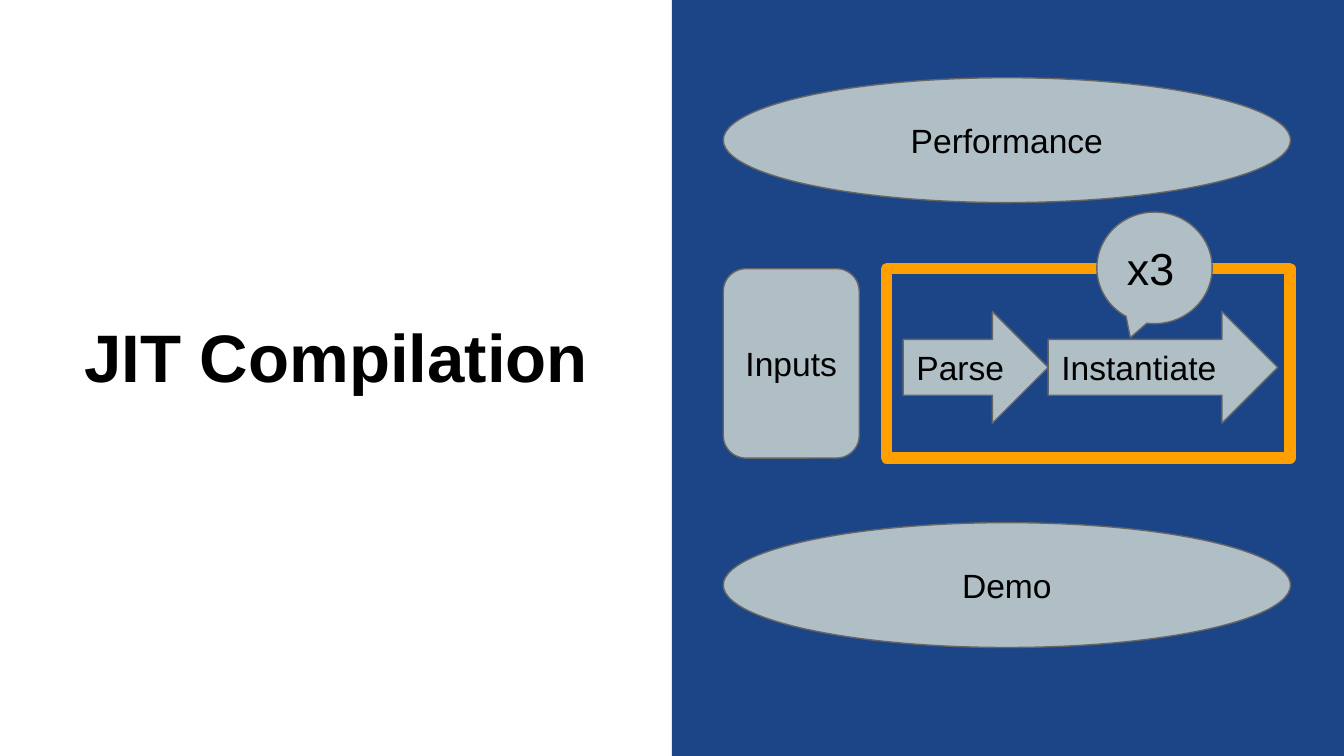
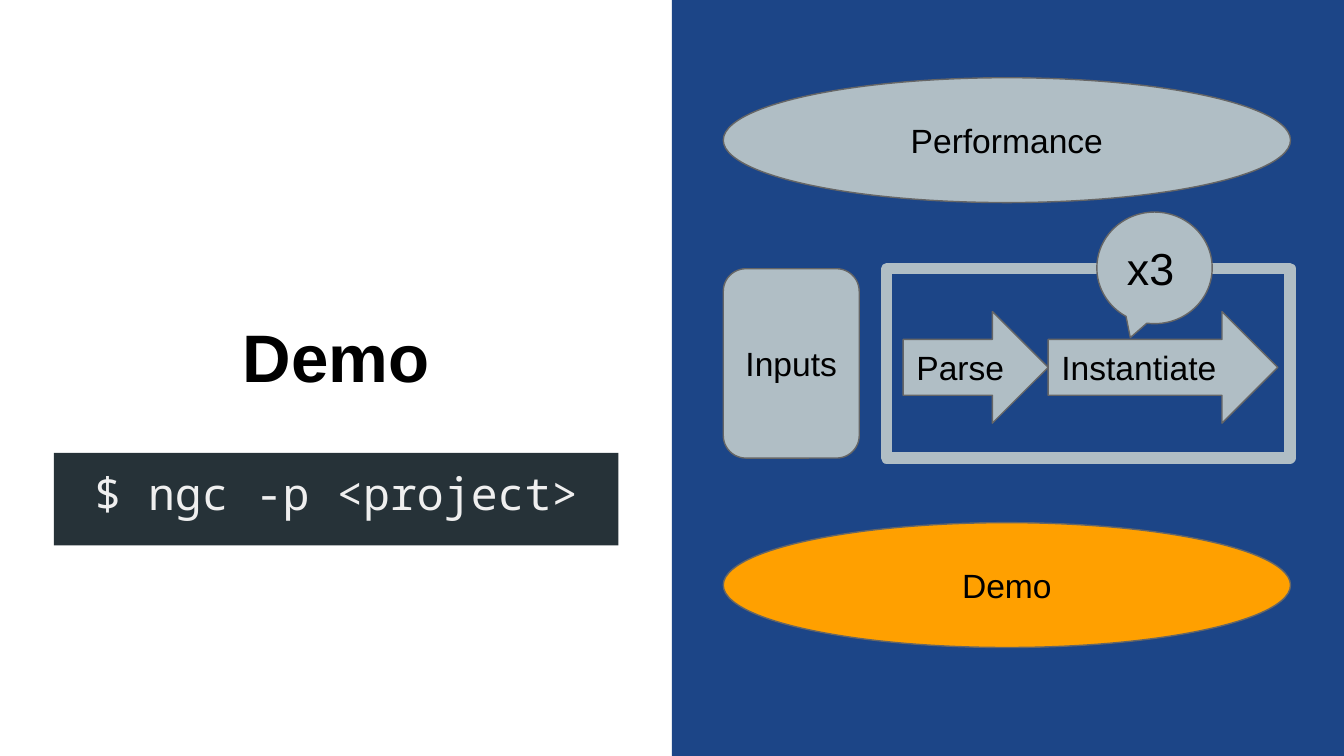
from pptx import Presentation
from pptx import util as u
from pptx.dml import color as c
from pptx.enum import shapes as s, text as t

WHITE = c.RGBColor(0xFF, 0xFF, 0xFF)
BLACK = c.RGBColor(0, 0, 0)
BLUE = c.RGBColor(0x1C, 0x45, 0x87)
GRAY = c.RGBColor(0xB0, 0xBE, 0xC5)
EDGE = c.RGBColor(0x66, 0x66, 0x66)
GOLD = c.RGBColor(0xFF, 0xA0, 0x00)
DARK = c.RGBColor(0x26, 0x32, 0x38)
PALE = c.RGBColor(0xEF, 0xEF, 0xEF)

SANS = "Arial"
MONO = "Noto Sans Mono"
WIDE, HIGH = 25.4, 14.29
HALF = WIDE / 2
LEFT, SPAN, OVAL = 13.67, 10.72, 2.36
ROW, TALL = 5.08, 3.58
STEP, DEEP = 5.89, 2.11

KIND = s.MSO_SHAPE
MID = t.MSO_ANCHOR.MIDDLE
LOW = t.MSO_ANCHOR.BOTTOM
TOP = t.MSO_ANCHOR.TOP
NEAR = t.PP_ALIGN.LEFT
CENTER = t.PP_ALIGN.CENTER


def write(shape, words, size=18, color=BLACK, face=SANS, align=CENTER,
          anchor=MID, bold=False):
    """Put one line of styled text in a shape."""
    frame = shape.text_frame
    frame.word_wrap = True
    frame.vertical_anchor = anchor
    frame.margin_left = frame.margin_right = u.Cm(0.25)
    frame.margin_top = frame.margin_bottom = u.Cm(0.25)
    para = frame.paragraphs[0]
    para.alignment = align
    run = para.add_run()
    run.text = words
    font = run.font
    font.name, font.size, font.bold = face, u.Pt(size), bold
    font.color.rgb = color


def draw(slide, kind, box, fill=None, edge=None, width=0.75):
    """Add a flat shape, with no fill or no line where none is given."""
    shape = slide.shapes.add_shape(kind, *map(u.Cm, box))
    shape.shadow.inherit = False
    if fill is None:
        shape.fill.background()
    else:
        shape.fill.solid()
        shape.fill.fore_color.rgb = fill
    if edge is None:
        shape.line.fill.background()
    else:
        shape.line.color.rgb = edge
        shape.line.width = u.Pt(width)
    return shape


def node(slide, kind, box, words, fill=GRAY, **style):
    """Add a labelled, outlined part of the diagram."""
    shape = draw(slide, kind, box, fill, EDGE)
    write(shape, words, **style)
    return shape


def title(slide, words):
    """Add the bold heading on the left half."""
    box = slide.shapes.add_textbox(*map(u.Cm, (0.74, 3.63, 11.23, 4.11)))
    write(box, words, size=36, anchor=LOW, bold=True)


def code(slide, words):
    """Add a dark box with a command."""
    box = draw(slide, KIND.RECTANGLE, (1.02, 8.56, 10.67, 1.75), DARK)
    write(box, words, size=24, color=PALE, face=MONO, anchor=TOP)


def chart(slide, frame=GRAY, demo=GRAY):
    """Draw the compile steps, with colours for the frame and the demo."""
    draw(slide, KIND.RECTANGLE, (16.76, ROW, 7.62, TALL), edge=frame, width=6)
    for left, width, words in ((17.07, 2.74, "Parse"),
                               (19.81, 4.34, "Instantiate")):
        node(slide, KIND.RIGHT_ARROW, (left, STEP, width, DEEP), words,
             align=NEAR)
    call = node(slide, KIND.OVAL_CALLOUT, (20.73, 4.01, 2.18, DEEP), "x3",
                size=24, align=NEAR)
    call.adjustments[0], call.adjustments[1] = -0.21, 0.625
    for top, words, fill in ((1.47, "Performance", GRAY),
                             (9.88, "Demo", demo)):
        node(slide, KIND.OVAL, (LEFT, top, SPAN, OVAL), words, fill)
    node(slide, KIND.ROUNDED_RECTANGLE, (LEFT, ROW, 2.57, TALL), "Inputs")


def start(deck, words):
    """Add a slide with the blue half and a title."""
    slide = deck.slides.add_slide(deck.slide_layouts[6])
    back = slide.background.fill
    back.solid()
    back.fore_color.rgb = WHITE
    draw(slide, KIND.RECTANGLE, (HALF, 0, HALF, HIGH), BLUE)
    title(slide, words)
    return slide


def main():
    """Build and save both slides."""
    deck = Presentation()
    deck.slide_width, deck.slide_height = u.Cm(WIDE), u.Cm(HIGH)

    slide = start(deck, "JIT Compilation")
    chart(slide, frame=GOLD)

    slide = start(deck, "Demo")
    code(slide, "$ ngc -p <project>")
    chart(slide, demo=GOLD)

    deck.save("out.pptx")


if __name__ == "__main__":
    main()
